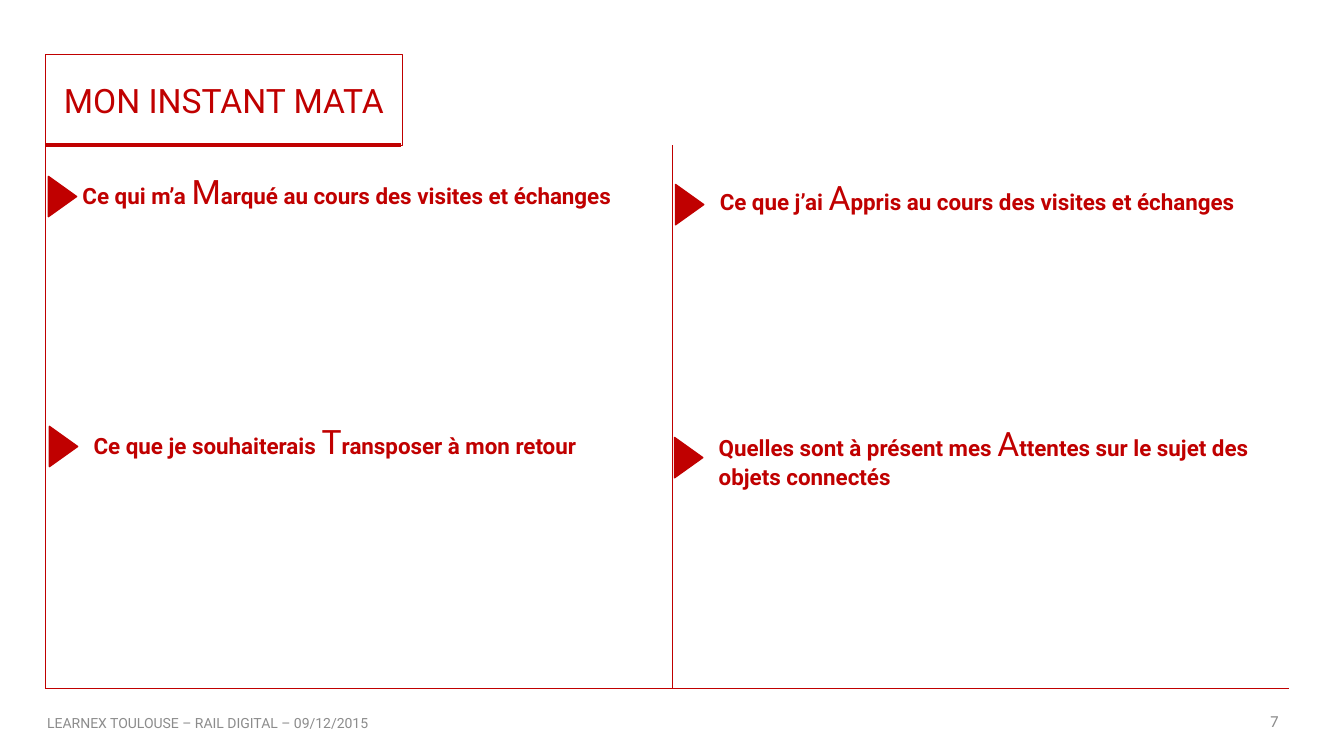
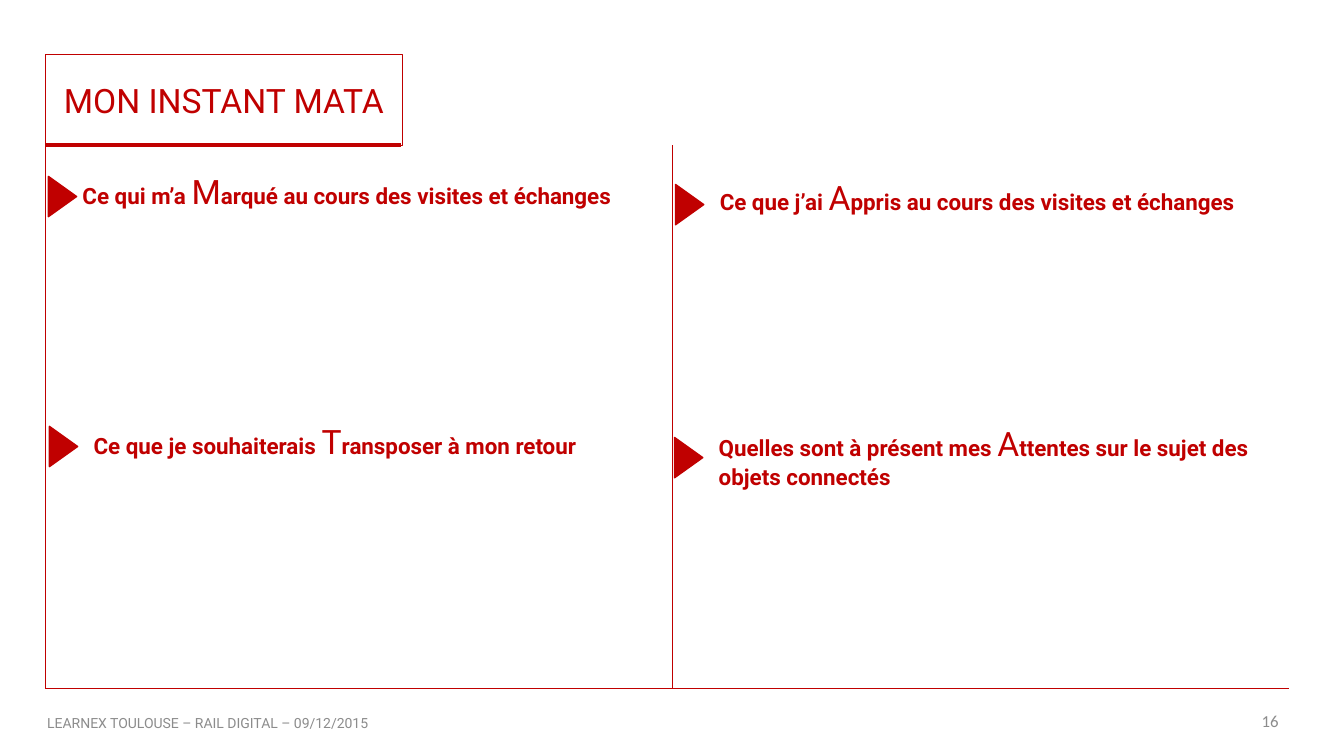
from dataclasses import dataclass

from lxml import etree
from pptx import Presentation
from pptx.dml.color import RGBColor
from pptx.enum.shapes import MSO_CONNECTOR, MSO_SHAPE
from pptx.enum.text import MSO_ANCHOR, MSO_AUTO_SIZE, PP_ALIGN
from pptx.oxml.ns import qn
from pptx.slide import Slide
from pptx.text.text import Font
from pptx.util import Inches, Pt

STRAIGHT = MSO_CONNECTOR.STRAIGHT
TRIANGLE = MSO_SHAPE.ISOSCELES_TRIANGLE
TOP, MIDDLE = MSO_ANCHOR.TOP, MSO_ANCHOR.MIDDLE
LEFT, CENTER, RIGHT = PP_ALIGN.LEFT, PP_ALIGN.CENTER, PP_ALIGN.RIGHT
NO_FIT, GROW = MSO_AUTO_SIZE.NONE, MSO_AUTO_SIZE.SHAPE_TO_FIT_TEXT
TITLE_ONLY = 5


@dataclass(frozen=True)
class Theme:
    red: RGBColor = RGBColor(0xC0, 0x00, 0x00)
    grey: RGBColor = RGBColor(0x8C, 0x8C, 0x8C)
    face: str = "Roboto"
    page_face: str = "Calibri"
    title: int = 24
    body: int = 16
    page: int = 12
    footer: int = 10


@dataclass(frozen=True)
class Box:
    left: float
    top: float
    width: float
    height: float

    def emu(self) -> tuple[int, int, int, int]:
        return (Inches(self.left), Inches(self.top),
                Inches(self.width), Inches(self.height))


@dataclass(frozen=True)
class Rule:
    x1: float
    y1: float
    x2: float
    y2: float
    weight: float = 0.5


@dataclass(frozen=True)
class Prompt:
    before: str
    letter: str
    after: str
    box: Box
    mark_x: float
    mark_y: float


THEME = Theme()
TITLE = "MON INSTANT MATA"
FOOTER = "LEARNEX TOULOUSE – RAIL DIGITAL – 09/12/2015"
PAGES = (7, 16)

# Frame shared by the slides
EDGE, HEAD, BASE, END, MID = 0.45, 1.44, 6.83, 12.78, 6.67
TITLE_BOX = Box(EDGE, 0.54, 3.54, 0.9)
FOOTER_BOX = Box(0.37, 6.97, 4.5, 0.4)
PAGE_BOX = Box(9.42, 6.95, 3.36, 0.4)
RULES = (
    Rule(EDGE, HEAD, 3.98, HEAD, 3),
    Rule(EDGE, HEAD, EDGE, BASE),
    Rule(EDGE, BASE, END, BASE),
    Rule(MID, HEAD, MID, BASE),
)

# The four MATA prompts
PROMPTS = (
    Prompt("Ce qui m’a ", "M", "arqué au cours des visites et échanges",
           Box(0.72, 1.65, 6, 0.5), 0.42, 1.81),
    Prompt("Ce que j’ai ", "A", "ppris au cours des visites et échanges",
           Box(7.04, 1.71, 5.59, 0.5), 6.64, 1.89),
    Prompt("Ce que je souhaiterais ", "T", "ransposer à mon retour",
           Box(0.83, 4.13, 5.89, 0.5), 0.43, 4.29),
    Prompt("Quelles sont à présent mes ", "A",
           "ttentes sur le sujet des objets connectés",
           Box(7.03, 4.15, 5.59, 0.77), 6.63, 4.4),
)


def style(font: Font, size: int, color: RGBColor,
          face: str = THEME.face, bold: bool = False) -> None:
    font.name, font.size, font.bold = face, Pt(size), bold
    font.color.rgb = color


def add_title(slide: Slide) -> None:
    title = slide.shapes.title
    title.left, title.top, title.width, title.height = TITLE_BOX.emu()
    title.line.color.rgb = THEME.red
    title.line.width = Pt(0.75)
    frame = title.text_frame
    frame.text = TITLE
    frame.auto_size = NO_FIT
    frame.vertical_anchor = MIDDLE
    line = frame.paragraphs[0]
    line.alignment = CENTER
    style(line.runs[0].font, THEME.title, THEME.red)


def add_rule(slide: Slide, rule: Rule) -> None:
    line = slide.shapes.add_connector(
        STRAIGHT, Inches(rule.x1), Inches(rule.y1),
        Inches(rule.x2), Inches(rule.y2))
    line.line.color.rgb = THEME.red
    line.line.width = Pt(rule.weight)
    etree.SubElement(line._element.spPr, qn("a:effectLst"))


def add_note(slide: Slide, text: str, box: Box, size: int,
             face: str = THEME.face, align: PP_ALIGN = LEFT) -> None:
    frame = slide.shapes.add_textbox(*box.emu()).text_frame
    frame.word_wrap = True
    frame.vertical_anchor = MIDDLE
    frame.text = text
    line = frame.paragraphs[0]
    line.alignment = align
    style(line.runs[0].font, size, THEME.grey, face)


def add_prompt(slide: Slide, prompt: Prompt) -> None:
    # Arrow mark
    mark = slide.shapes.add_shape(
        TRIANGLE, *Box(prompt.mark_x, prompt.mark_y, 0.4, 0.28).emu())
    mark.rotation = 90
    mark.shadow.inherit = False
    mark.fill.solid()
    mark.fill.fore_color.rgb = THEME.red
    mark.line.color.rgb = THEME.red
    mark.line.width = Pt(1)

    # Sentence with its large letter
    frame = slide.shapes.add_textbox(*prompt.box.emu()).text_frame
    frame.word_wrap = True
    frame.auto_size = GROW
    frame.vertical_anchor = TOP
    line = frame.paragraphs[0]
    for text in (prompt.before, prompt.letter, prompt.after):
        run = line.add_run()
        run.text = text
        large = text == prompt.letter
        style(run.font, THEME.title if large else THEME.body,
              THEME.red, bold=not large)


def main() -> None:
    deck = Presentation()
    deck.slide_width, deck.slide_height = Inches(13.33), Inches(7.5)
    for page in PAGES:
        slide = deck.slides.add_slide(deck.slide_layouts[TITLE_ONLY])
        add_title(slide)
        for rule in RULES:
            add_rule(slide, rule)
        for prompt in PROMPTS:
            add_prompt(slide, prompt)
        add_note(slide, FOOTER, FOOTER_BOX, THEME.footer)
        add_note(slide, str(page), PAGE_BOX, THEME.page,
                 THEME.page_face, RIGHT)
    deck.save("out.pptx")


if __name__ == "__main__":
    main()
